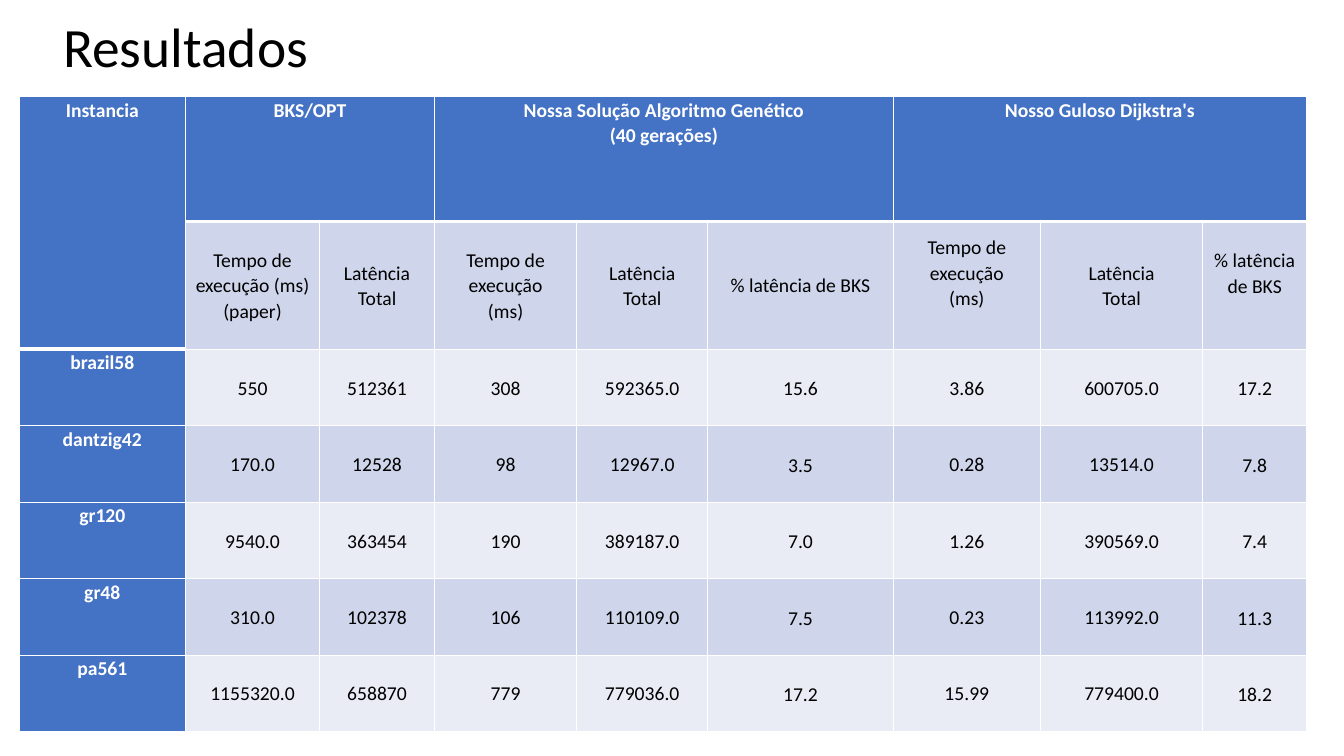
import dataclasses

import lxml.etree
import pptx
import pptx.dml.color
import pptx.enum.text
import pptx.oxml.ns
import pptx.util

Inches = pptx.util.Inches
Align = pptx.enum.text.PP_ALIGN
Anchor = pptx.enum.text.MSO_ANCHOR


@dataclasses.dataclass(frozen=True)
class Theme:
    font: str = "Calibri"
    white: str = "FFFFFF"
    black: str = "000000"
    blue: str = "4472C4"
    dark: str = "CFD5EA"
    light: str = "E9EBF5"
    title: float = 39.6
    body: float = 14
    thin: float = 1
    thick: float = 3


THEME = Theme()
WIDTHS = [1.65, 1.33, 1.14, 1.41, 1.3, 1.84, 1.46, 1.61, 1.03]
HEIGHTS = [1.24, 1.27] + [0.76] * 5
SPANS = [(0, 0, 1, 0), (0, 1, 0, 2), (0, 3, 0, 5), (0, 6, 0, 8)]
RATES = (5, 8)
RAISED = (6, 8)
TIME = "Tempo de execução\n(ms)"
TOTAL = "Latência\nTotal"
RATE = "% latência de BKS"
ROWS = [
    ["Instancia", "BKS/OPT", "", "Nossa Solução Algoritmo Genético\n(40 gerações)",
     "", "", "Nosso Guloso Dijkstra's", "", ""],
    ["", "Tempo de execução (ms) (paper)", TOTAL, TIME, TOTAL, RATE, TIME, TOTAL, RATE],
    ["brazil58", "550", "512361", "308", "592365.0", "15.6", "3.86", "600705.0", "17.2"],
    ["dantzig42", "170.0", "12528", "98", "12967.0", "3.5", "0.28", "13514.0", "7.8"],
    ["gr120", "9540.0", "363454", "190", "389187.0", "7.0", "1.26", "390569.0", "7.4"],
    ["gr48", "310.0", "102378", "106", "110109.0", "7.5", "0.23", "113992.0", "11.3"],
    ["pa561", "1155320.0", "658870", "779", "779036.0", "17.2", "15.99", "779400.0", "18.2"],
]


def color(code):
    return pptx.dml.color.RGBColor.from_string(code)


def write(frame, text, size=THEME.body, ink=THEME.black, bold=False,
          align=Align.CENTER, space=1.07):
    for k, line in enumerate(text.split("\n")):
        para = frame.add_paragraph() if k else frame.paragraphs[0]
        para.alignment = align
        para.line_spacing = space
        run = para.add_run()
        run.text = line
        font = run.font
        font.name, font.size, font.bold = THEME.font, pptx.util.Pt(size), bold
        font.color.rgb = color(ink)


def edge(cell, side, width):
    name = pptx.oxml.ns.qn
    props = cell._tc.get_or_add_tcPr()
    line = lxml.etree.SubElement(props, name("a:ln" + side), w=str(pptx.util.Pt(width)))
    fill = lxml.etree.SubElement(line, name("a:solidFill"))
    lxml.etree.SubElement(fill, name("a:srgbClr"), val=THEME.white)


def inset(cell, row, col):
    rate = row > 1 and col in RATES
    cell.margin_left = cell.margin_right = Inches(0.01 if rate else 0.07)
    cell.margin_top = Inches(0.01 if rate else 0)
    cell.margin_bottom = Inches(0.25 if row == 1 and col in RAISED else 0)


def style(cell, row, col):
    head = row == 0 or col == 0
    top = row == (1 if col else 2)
    base = row == 0 or (row == 1 and col == 0)
    for side, heavy in (("L", False), ("R", False), ("T", top), ("B", base)):
        edge(cell, side, THEME.thick if heavy else THEME.thin)
    band = THEME.dark if row % 2 else THEME.light
    cell.fill.solid()
    cell.fill.fore_color.rgb = color(THEME.blue if head else band)
    cell.vertical_anchor = Anchor.TOP if head else Anchor.MIDDLE
    inset(cell, row, col)
    return head


def heading(slide, text, box):
    frame = slide.shapes.add_textbox(*map(Inches, box)).text_frame
    frame.word_wrap = True
    frame.vertical_anchor = Anchor.MIDDLE
    write(frame, text, size=THEME.title, align=Align.LEFT, space=0.9)


def results(slide, box):
    grid = slide.shapes.add_table(len(ROWS), len(WIDTHS), *map(Inches, box)).table
    grid.first_row = grid.horz_banding = False
    for col, width in zip(grid.columns, WIDTHS):
        col.width = Inches(width * box[2] / sum(WIDTHS))
    for row, height in zip(grid.rows, HEIGHTS):
        row.height = Inches(height * box[3] / sum(HEIGHTS))
    for top, left, base, right in SPANS:
        grid.cell(top, left).merge(grid.cell(base, right))
    for r, row in enumerate(ROWS):
        for c, text in enumerate(row):
            cell = grid.cell(r, c)
            head = style(cell, r, c)
            if text:
                write(cell.text_frame, text, bold=head,
                      ink=THEME.white if head else THEME.black)


def main():
    deck = pptx.Presentation()
    deck.slide_width, deck.slide_height = Inches(13.33), Inches(7.5)
    slide = deck.slides.add_slide(deck.slide_layouts[6])
    heading(slide, "Resultados", (0.53, 0.15, 11.5, 0.68))
    results(slide, (0.19, 0.96, 12.77, 6.3))
    deck.save("out.pptx")


if __name__ == "__main__":
    main()
